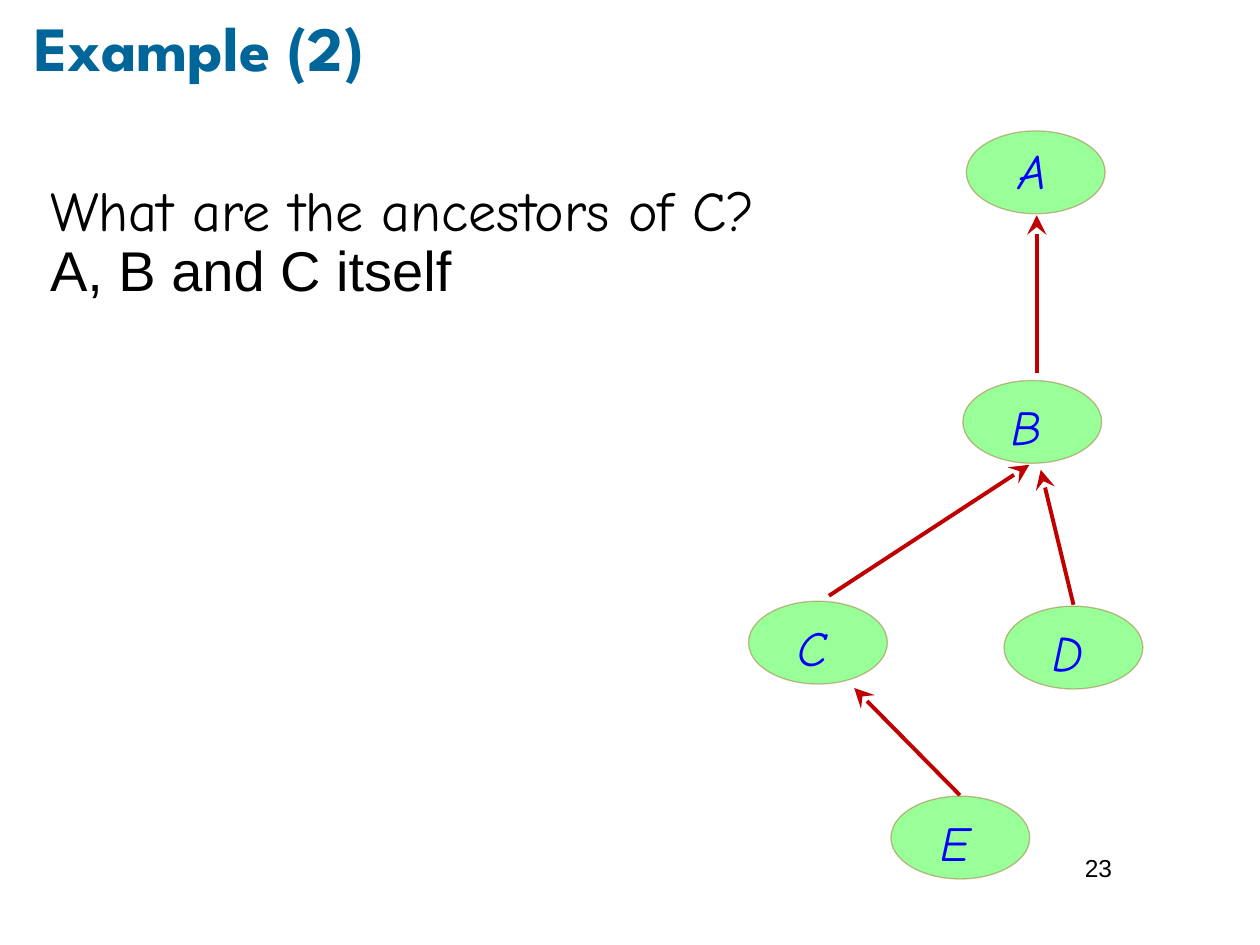
import pptx
import pptx.util
import pptx.dml.color
import pptx.enum.shapes
import pptx.enum.text
import pptx.oxml
import pptx.oxml.ns

Cm, Pt = pptx.util.Cm, pptx.util.Pt
RGB = pptx.dml.color.RGBColor.from_string
SHAPE = pptx.enum.shapes.MSO_SHAPE
LINK = pptx.enum.shapes.MSO_CONNECTOR
ALIGN = pptx.enum.text.PP_ALIGN
ANCHOR = pptx.enum.text.MSO_ANCHOR
FIT = pptx.enum.text.MSO_AUTO_SIZE

# Content; all lengths in centimetres
TITLE = "Example (2)"
LINES = [("What are the ancestors of C?", "ask"), ("A, B and C itself", "reply")]
PAGE = "23"
SHIFT = (-0.41, 0.23)  # label box against its oval
NODES = [  # name, left, top, label shift
    ("A", 19.48, 2.64, (-0.36, 0.1)),
    ("B", 19.41, 7.67, SHIFT),
    ("C", 15.09, 12.12, SHIFT),
    ("D", 20.24, 12.22, SHIFT),
    ("E", 17.96, 16.05, SHIFT),
]
EDGES = [  # child to parent: start, end
    ((20.9, 7.52), (20.9, 4.34)),
    ((16.71, 12.01), (20.75, 9.37)),
    ((21.64, 12.19), (20.98, 9.47)),
    ((19.35, 16.03), (17.22, 13.87)),
]
OVAL = (2.8, 1.67)
LABEL = (3.4, 1.4)

THEME = {
    "title": {"name": "League Spartan", "size": Pt(36), "bold": True, "color": "006699"},
    "ask": {"name": "Comic Neue", "size": Pt(32), "color": "000000"},
    "reply": {"name": "Arial", "size": Pt(32), "color": "000000"},
    "node": {"name": "Comic Neue", "size": Pt(28), "italic": True, "color": "0000FF"},
    "page": {"name": "Arial", "size": Pt(14), "color": "000000"},
    "fill": "99FF99",
    "rim": "993300",
    "arrow": "C00000",
}


def node(tag, **attrs):
    """Make a DrawingML element such as a:buNone."""
    item = pptx.oxml.parse_xml(f"<{tag} {pptx.oxml.ns.nsdecls('a')}/>")
    for key, val in attrs.items():
        item.set(key, str(val))
    return item


def place(shape, *box):
    for key, val in zip(("left", "top", "width", "height"), box):
        setattr(shape, key, Cm(val))


def write(para, text, style):
    run = para.add_run()
    run.text = text
    for key, val in THEME[style].items():
        if key == "color":
            run.font.color.rgb = RGB(val)
        else:
            setattr(run.font, key, val)


def setup(frame, pad, **form):
    """Set wrap, fit and margins; pad is (side, top and bottom)."""
    side, end = map(Cm, pad)
    form = {"word_wrap": True, "auto_size": FIT.NONE,
            "margin_left": side, "margin_right": side,
            "margin_top": end, "margin_bottom": end, **form}
    for key, val in form.items():
        setattr(frame, key, val)


def add_text(slide, box, text, style, pad, align, anchor):
    frame = slide.shapes.add_textbox(*map(Cm, box)).text_frame
    setup(frame, (pad, pad), vertical_anchor=anchor)
    frame.paragraphs[0].alignment = align
    write(frame.paragraphs[0], text, style)


def add_edge(slide, start, end):
    edge = slide.shapes.add_connector(LINK.STRAIGHT, *map(Cm, start + end))
    edge.line.color.rgb = RGB(THEME["arrow"])
    edge.line.width = Pt(2.25)
    edge.line._get_or_add_ln().append(
        node("a:tailEnd", type="stealth", w="lg", len="lg"))
    edge._element.spPr.append(node("a:effectLst"))


def add_node(slide, name, left, top, shift):
    oval = slide.shapes.add_shape(SHAPE.OVAL, *map(Cm, (left, top) + OVAL))
    oval.shadow.inherit = False
    oval.fill.solid()
    oval.fill.fore_color.rgb = RGB(THEME["fill"])
    oval.line.color.rgb = RGB(THEME["rim"])
    oval.line.width = Pt(0.75)
    rim = oval.line._get_or_add_ln().find(".//" + pptx.oxml.ns.qn("a:srgbClr"))
    rim.append(node("a:alpha", val=34000))
    box = (left + shift[0], top + shift[1]) + LABEL
    add_text(slide, box, name, "node", 0.1, ALIGN.CENTER, ANCHOR.TOP)


def add_title(slide):
    title = slide.shapes.title
    place(title, 0.69, 0.33, 22.56, 1.22)
    setup(title.text_frame, (0, 0), vertical_anchor=ANCHOR.MIDDLE)
    para = title.text_frame.paragraphs[0]
    para.alignment = ALIGN.LEFT
    write(para, TITLE, "title")


def add_body(slide):
    body = slide.placeholders[1]
    place(body, 0.46, 3.56, 16.79, 2.82)
    frame = body.text_frame
    setup(frame, (0.25, 0.13), vertical_anchor=ANCHOR.TOP)
    for i, (text, style) in enumerate(LINES):
        para = frame.add_paragraph() if i else frame.paragraphs[0]
        props = para._p.get_or_add_pPr()
        props.set("marL", str(Cm(0.38)))
        props.set("indent", str(Cm(-0.08)))
        props.append(node("a:buNone"))
        para.line_spacing = 0.9
        para.space_before = Pt(0)
        write(para, text, style)


def main():
    deck = pptx.Presentation()
    deck.slide_width, deck.slide_height = Cm(25.4), Cm(19.05)
    slide = deck.slides.add_slide(deck.slide_layouts[1])
    add_title(slide)
    add_body(slide)
    for edge in EDGES:
        add_edge(slide, *edge)
    for item in NODES:
        add_node(slide, *item)
    add_text(slide, (21.62, 16.76, 1.52, 1.45), PAGE, "page", 0.25,
             ALIGN.LEFT, ANCHOR.MIDDLE)
    deck.save("out.pptx")


if __name__ == "__main__":
    main()
